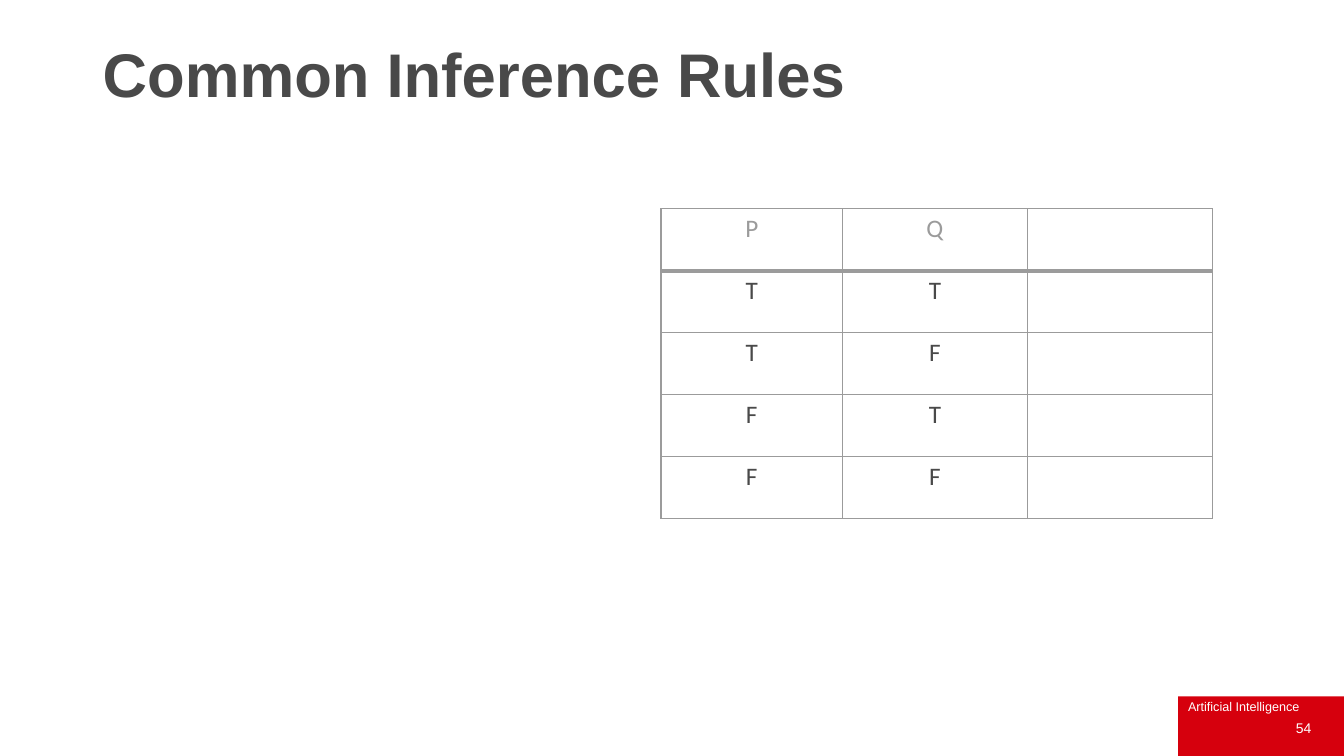
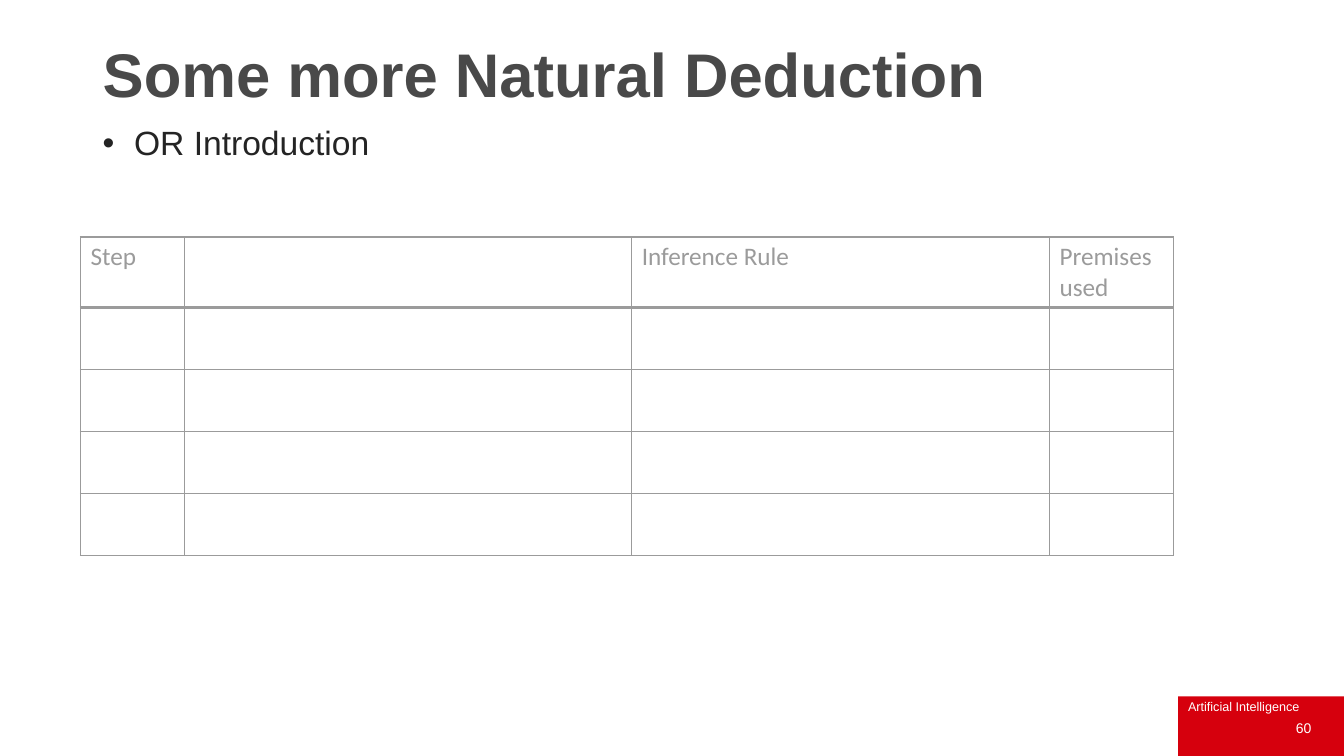
from dataclasses import dataclass

from lxml import etree
from pptx import Presentation
from pptx import util as u
from pptx.dml.color import RGBColor
from pptx.enum import shapes, text
from pptx.oxml.ns import qn


@dataclass(frozen=True)
class Theme:
    """Colours, fonts and type sizes shared by the slides."""

    red: str = "D6000D"
    white: str = "FFFFFF"
    dark: str = "494949"
    ink: str = "242424"
    grey: str = "9B9B9B"
    face: str = "Arial"
    table_face: str = "Calibri"
    title: int = 44
    body: int = 24
    cell: int = 18
    number: int = 10
    label: int = 9
    rule: int = 1
    header_rule: int = 3


THEME = Theme()
SLIDE_SIZE = (33.87, 19.05)
TITLE_BOX = (2.34, 1.07, 24.84, 1.75)
BODY_BOX = (2.34, 3.07, 29.21, 13.61)
FOOTER_BOX = (29.69, 17.55, 4.18, 1.5)


def cm(*lengths):
    """Convert numbers to centimetre lengths."""
    return [u.Cm(length) for length in lengths]


def style(paragraph, size, colour, face=THEME.face, bold=False):
    """Set the font of a whole paragraph."""
    font = paragraph.font
    font.size, font.name, font.bold = u.Pt(size), face, bold
    font.color.rgb = RGBColor.from_string(colour)


def add_text(slide, box, words, anchor=text.MSO_ANCHOR.TOP):
    """Add a wrapping text box and return its paragraph."""
    frame = slide.shapes.add_textbox(*cm(*box)).text_frame
    frame.word_wrap = True
    frame.vertical_anchor = anchor
    paragraph = frame.paragraphs[0]
    paragraph.text = words
    return paragraph


def add_title(slide, box, words):
    """Place the slide title."""
    title = add_text(slide, box, words, text.MSO_ANCHOR.MIDDLE)
    title.line_spacing = 0.9
    style(title, THEME.title, THEME.dark, bold=True)


def add_bullet(slide, box, words):
    """Place a bulleted line of body text."""
    bullet = add_text(slide, box, words)
    bullet.line_spacing = 0.9
    properties = bullet._p.get_or_add_pPr()
    indent = u.Cm(0.79)
    properties.set("marL", str(indent))
    properties.set("indent", str(-indent))
    etree.SubElement(properties, qn("a:buFont")).set("typeface", THEME.face)
    etree.SubElement(properties, qn("a:buChar")).set("char", "•")
    style(bullet, THEME.body, THEME.ink)


def add_footer(slide, box, page):
    """Place the red corner band with course name and page number."""
    left, top, width, height = box
    band = slide.shapes.add_shape(shapes.MSO_SHAPE.RECTANGLE, *cm(*box))
    band.shadow.inherit = False
    band.fill.solid()
    band.fill.fore_color.rgb = RGBColor.from_string(THEME.red)
    band.line.fill.background()
    course = add_text(slide, (left, top - 0.07, width - 0.28, 0.64),
                      "Artificial Intelligence")
    style(course, THEME.label, THEME.white)
    number = add_text(slide, (left - 4, top + 0.28, width + 3.43, 1.02),
                      str(page), text.MSO_ANCHOR.MIDDLE)
    number.alignment = text.PP_ALIGN.RIGHT
    style(number, THEME.number, THEME.white)


def add_borders(cell, is_header):
    """Rule all four sides of a cell, heavier below a header."""
    properties = cell._tc.get_or_add_tcPr()
    for position, side in enumerate(("lnL", "lnR", "lnT", "lnB")):
        heavy = is_header and side == "lnB"
        points = THEME.header_rule if heavy else THEME.rule
        line = etree.Element(qn(f"a:{side}"), w=str(u.Pt(points)))
        fill = etree.SubElement(line, qn("a:solidFill"))
        etree.SubElement(fill, qn("a:srgbClr")).set("val", THEME.grey)
        properties.insert(position, line)


def add_grid(slide, origin, widths, heights, rows, alignment):
    """Place a ruled table with a grey header row."""
    size = (sum(widths), sum(heights))
    table = slide.shapes.add_table(
        len(rows), len(widths), *cm(*origin, *size)).table
    table.horz_banding = False
    for column, width in zip(table.columns, widths):
        column.width = u.Cm(width)
    for row, height in zip(table.rows, heights):
        row.height = u.Cm(height)
    for r, entries in enumerate(rows):
        for c, entry in enumerate(entries):
            cell = table.cell(r, c)
            cell.fill.background()
            add_borders(cell, r == 0)
            paragraph = cell.text_frame.paragraphs[0]
            paragraph.text = entry
            paragraph.alignment = alignment
            colour = THEME.dark if r else THEME.grey
            style(paragraph, THEME.cell, colour, THEME.table_face)


def new_slide(deck, title, page):
    """Add a blank slide with the shared footer and title."""
    slide = deck.slides.add_slide(deck.slide_layouts[6])
    add_footer(slide, FOOTER_BOX, page)
    add_title(slide, TITLE_BOX, title)
    return slide


def inference_rules(deck):
    """Build the truth table slide."""
    slide = new_slide(deck, "Common Inference Rules", 54)
    truth_values = [(p, q, "") for p in "TF" for q in "TF"]
    add_grid(slide, (16.66, 5.26), (4.57, 4.66, 4.66), [1.56] * 5,
             [("P", "Q", ""), *truth_values], text.PP_ALIGN.CENTER)


def natural_deduction(deck):
    """Build the slide with the empty proof table."""
    slide = new_slide(deck, "Some more Natural Deduction", 60)
    add_bullet(slide, BODY_BOX, "OR Introduction")
    header = ("Step", "", "Inference Rule", "Premises used")
    add_grid(slide, (2.03, 5.97), (2.62, 11.27, 10.53, 3.13),
             [1.6] + [1.56] * 4, [header] + [("",) * 4] * 4,
             text.PP_ALIGN.LEFT)


def main():
    """Build and save the deck."""
    deck = Presentation()
    deck.slide_width, deck.slide_height = cm(*SLIDE_SIZE)
    inference_rules(deck)
    natural_deduction(deck)
    deck.save("out.pptx")


if __name__ == "__main__":
    main()
